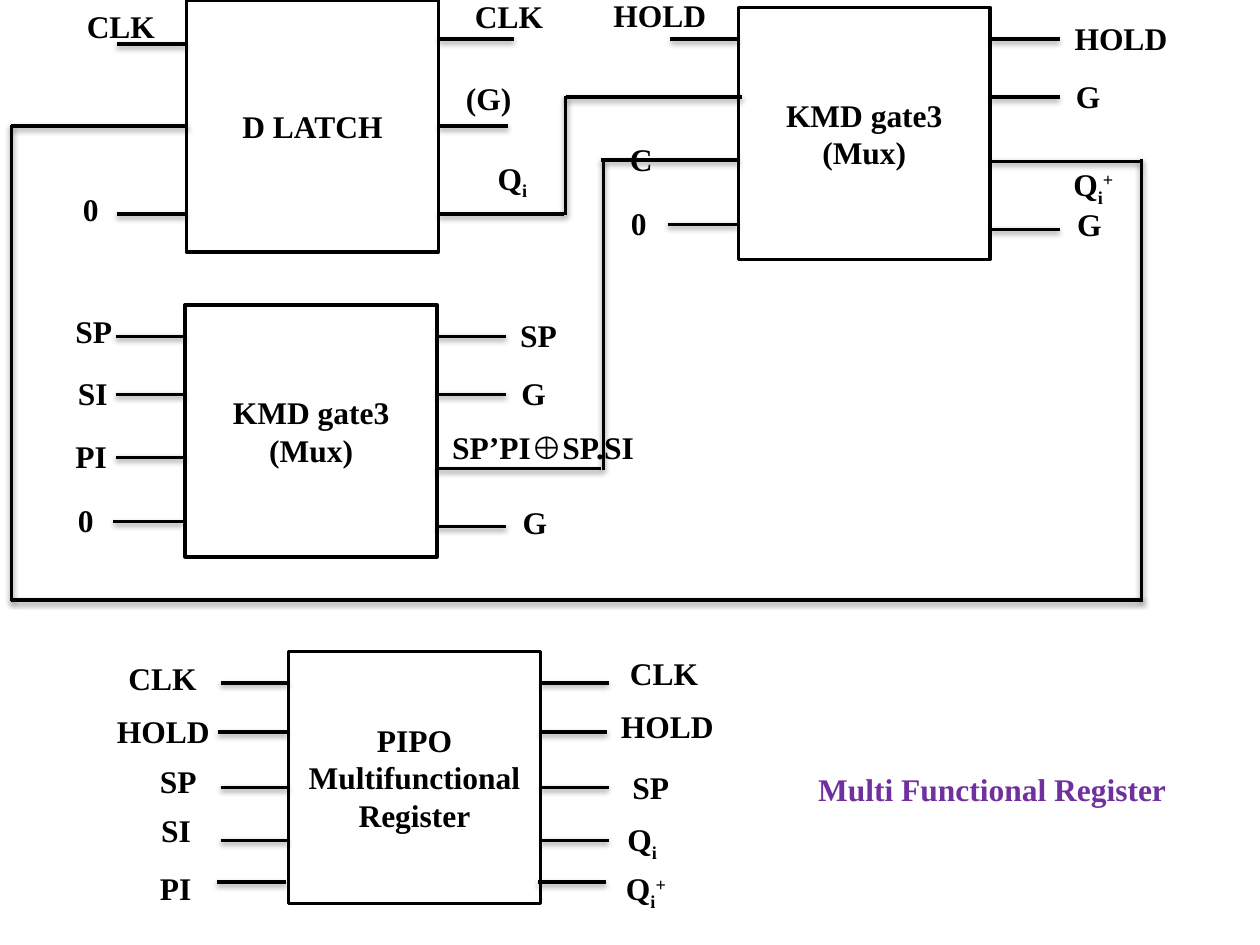
from pptx import Presentation
from pptx.dml.color import RGBColor
from pptx.enum.shapes import MSO_CONNECTOR, MSO_SHAPE
from pptx.enum.text import MSO_ANCHOR, MSO_AUTO_SIZE, PP_ALIGN
from pptx.util import Pt

PX = 9144
STRAIGHT = MSO_CONNECTOR.STRAIGHT
RECTANGLE = MSO_SHAPE.RECTANGLE
MIDDLE = MSO_ANCHOR.MIDDLE
FIT_TEXT = MSO_AUTO_SIZE.SHAPE_TO_FIT_TEXT
CENTER = PP_ALIGN.CENTER
LEFT = PP_ALIGN.LEFT

COLORS = {"ink": "000000", "paper": "FFFFFF", "title": "7030A0"}
FONT = {"name": "Times New Roman", "size": Pt(18), "bold": True}
BOX_SIZE = 200
LABEL_HEIGHT = 40
SCRIPTS = {
    "Qi": [("Q", 0), ("i", -25000)],
    "Qi+": [("Q", 0), ("i", -25000), ("+", 30000)],
}


def format_text(text_frame, color, alignment):
    for paragraph in text_frame.paragraphs:
        paragraph.alignment = alignment
        for run in paragraph.runs:
            for name, value in FONT.items():
                setattr(run.font, name, value)
            run.font.color.rgb = RGBColor.from_string(COLORS[color])


def add_label(text, left, top, width, color="ink", alignment=LEFT):
    shape = slide.shapes.add_textbox(left * PX, top * PX, width * PX, LABEL_HEIGHT * PX)
    text_frame = shape.text_frame
    text_frame.word_wrap = False
    text_frame.auto_size = FIT_TEXT
    for part, baseline in SCRIPTS.get(text, [(text, 0)]):
        run = text_frame.paragraphs[0].add_run()
        run.text = part
        if baseline:
            run.font._element.set("baseline", str(baseline))
    format_text(text_frame, color, alignment)


presentation = Presentation()
presentation.slide_width = 1000 * PX
presentation.slide_height = 750 * PX
slide = presentation.slides.add_slide(presentation.slide_layouts[6])

boxes = [
    ("D LATCH", 148, 0),
    ("KMD gate3\n(Mux)", 586, 6),
    ("KMD gate3\n(Mux)", 147, 242),
    ("PIPO Multifunctional Register", 229, 517),
]
for text, left, top in boxes:
    shape = slide.shapes.add_shape(
        RECTANGLE, left * PX, top * PX, BOX_SIZE * PX, BOX_SIZE * PX
    )
    shape.shadow.inherit = False
    shape.fill.solid()
    shape.fill.fore_color.rgb = RGBColor.from_string(COLORS["paper"])
    shape.line.color.rgb = RGBColor.from_string(COLORS["ink"])
    shape.line.width = Pt(2)
    shape.text_frame.word_wrap = True
    shape.text_frame.vertical_anchor = MIDDLE
    shape.text_frame.text = text
    format_text(shape.text_frame, "ink", CENTER)

pins = [
    (93, 148, [35, 170]),
    (348, 403, [100]),
    (348, 408, [31]),
    (532, 586, [31]),
    (530, 585, [178]),
    (786, 841, [31, 77, 182]),
    (92, 147, [267, 313, 363]),
    (90, 145, [414]),
    (347, 402, [267, 313, 418]),
    (175, 229, [542, 625, 667]),
    (173, 228, [581]),
    (172, 227, [700]),
    (429, 483, [542, 625, 667]),
    (428, 482, [581]),
    (427, 481, [700]),
]
wires = [(start, y, end, y) for start, end, rows in pins for y in rows]
wires += [
    (348, 170, 448, 170),
    (449, 76, 449, 171),
    (449, 77, 589, 77),
    (347, 372, 477, 372),
    (479, 128, 479, 373),
    (477, 127, 587, 127),
    (786, 128, 906, 128),
    (906, 126, 906, 476),
    (9, 476, 907, 476),
    (9, 99, 9, 477),
    (9, 100, 149, 100),
]
for wire in wires:
    connector = slide.shapes.add_connector(STRAIGHT, *[value * PX for value in wire])
    connector.line.color.rgb = RGBColor.from_string(COLORS["ink"])
    connector.line.width = Pt(2)

labels = [
    ("CLK", 75, [(59, 1), (367, -7), (92, 518), (490, 514)]),
    ("HOLD", 95, [(477, -8), (843, 10), (83, 560), (483, 556)]),
    ("SP", 50, [(50, 243), (403, 246), (117, 600), (492, 605)]),
    ("SI", 44, [(52, 292), (118, 639)]),
    ("PI", 45, [(50, 342), (117, 685)]),
    ("0", 33, [(56, 146), (491, 157), (52, 393)]),
    ("G", 40, [(844, 56), (845, 158), (404, 292), (405, 394)]),
    ("(G)", 57, [(360, 58)]),
    ("C", 38, [(490, 106)]),
    ("Qi", 45, [(385, 121), (488, 646)]),
    ("Qi+", 54, [(842, 126), (487, 685)]),
    ("SP’PI⊕SP.SI", 165, [(349, 335)]),
]
for text, width, places in labels:
    for left, top in places:
        add_label(text, left, top, width)

add_label("Multi Functional Register", 638, 606, 299, "title", CENTER)

presentation.save("out.pptx")
